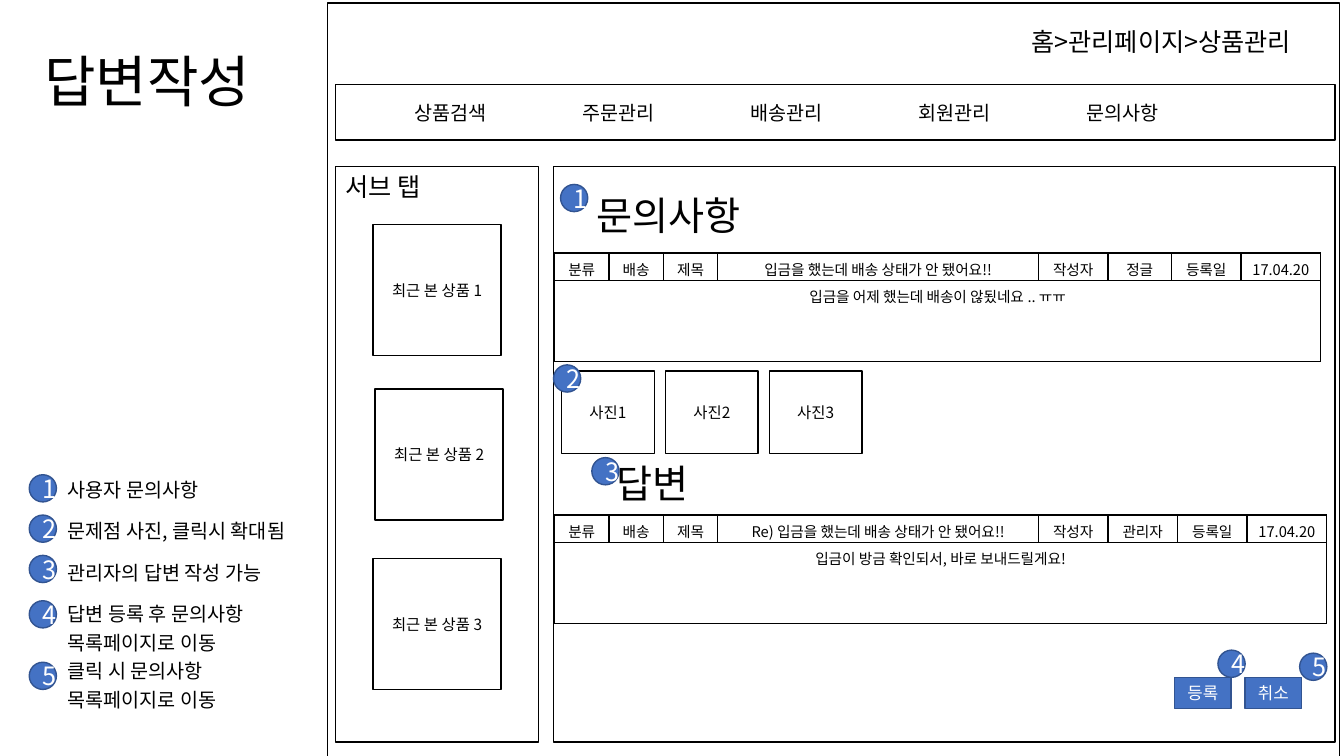
from dataclasses import dataclass

from lxml.etree import SubElement
from pptx import Presentation
from pptx.dml.color import RGBColor
from pptx.enum.shapes import MSO_SHAPE
from pptx.enum.text import MSO_ANCHOR, PP_ALIGN
from pptx.oxml import parse_xml
from pptx.oxml.ns import nsdecls, qn
from pptx.util import Inches, Pt


@dataclass(frozen=True)
class Theme:
    font: str = "Noto Sans CJK KR"
    ink: str = "000000"
    paper: str = "FFFFFF"
    accent: str = "4472C4"
    accent_line: str = "325491"
    title: float = 40
    heading: float = 28
    label: float = 18
    body: float = 14
    button: float = 12
    card: float = 11
    cell: float = 10.5


THEME = Theme()


def style_text(tf, size, color=THEME.ink, align=PP_ALIGN.LEFT):
    for p in tf.paragraphs:
        p.alignment = align
        for r in p.runs:
            r.font.size = Pt(size)
            r.font.color.rgb = RGBColor.from_string(color)
            r.font.name = THEME.font
            SubElement(r.font._element, qn("a:ea"), typeface=THEME.font)


def add_box(s, x, y, w, h, text="", size=THEME.card, accent=False,
            kind=MSO_SHAPE.RECTANGLE, line_width=1):
    sp = s.shapes.add_shape(kind, Inches(x), Inches(y), Inches(w), Inches(h))
    sp.shadow.inherit = False
    sp.fill.solid()
    sp.fill.fore_color.rgb = RGBColor.from_string(THEME.accent if accent else THEME.paper)
    sp.line.color.rgb = RGBColor.from_string(THEME.accent_line if accent else THEME.ink)
    sp.line.width = Pt(line_width)
    if text:
        tf = sp.text_frame
        tf.text = text
        tf.vertical_anchor = MSO_ANCHOR.MIDDLE
        style_text(tf, size, THEME.paper if accent else THEME.ink, PP_ALIGN.CENTER)
    return sp


def add_label(s, x, y, w, h, text, size, indent=0.1):
    tf = s.shapes.add_textbox(Inches(x), Inches(y), Inches(w), Inches(h)).text_frame
    tf.word_wrap = True
    tf.margin_left = Inches(indent)
    tf.text = text
    style_text(tf, size)


def add_badge(s, x, y, number):
    add_box(s, x, y, 0.27, 0.27, str(number), THEME.label, True, MSO_SHAPE.OVAL)


def set_borders(cell, color=None):
    fill = f'<a:solidFill><a:srgbClr val="{color}"/></a:solidFill>' if color else "<a:noFill/>"
    tcPr = cell._tc.get_or_add_tcPr()
    for i, side in enumerate(("lnL", "lnR", "lnT", "lnB")):
        tcPr.insert(i, parse_xml(f'<a:{side} {nsdecls("a")} w="12700">{fill}</a:{side}>'))


def add_plain_table(s, x, y, widths, heights):
    tbl = s.shapes.add_table(len(heights), len(widths), Inches(x), Inches(y),
                             Inches(sum(widths)), Inches(sum(heights))).table
    tbl.first_row = tbl.horz_banding = False
    for column, width in zip(tbl.columns, widths):
        column.width = Inches(width)
    for row, height in zip(tbl.rows, heights):
        row.height = Inches(height)
    return tbl


def add_post(s, x, y, widths, header, message):
    tbl = add_plain_table(s, x, y, widths, (0.21, 0.8))
    tbl.cell(1, 0).merge(tbl.cell(1, len(widths) - 1))
    for cell, text in zip(tbl.iter_cells(), (*header, message)):
        cell.text = text
    for cell in tbl.iter_cells():
        cell.fill.solid()
        cell.fill.fore_color.rgb = RGBColor.from_string(THEME.paper)
        set_borders(cell, THEME.ink)
        style_text(cell.text_frame, THEME.cell, align=PP_ALIGN.CENTER)


def add_legend(s, x, y, w):
    notes = (
        ("사용자 문의사항", 0.05),
        ("문제점 사진, 클릭시 확대됨", 0.45),
        ("관리자의 답변 작성 가능", 0.85),
        ("답변 등록 후 문의사항\n목록페이지로 이동", 1.3),
        ("클릭 시 문의사항\n목록페이지로 이동", 1.91),
    )
    tbl = add_plain_table(s, x + 0.28, y, (w - 0.28,), [0.41] * len(notes))
    for i, (note, badge_top) in enumerate(notes):
        cell = tbl.cell(i, 0)
        cell.text = note
        cell.fill.background()
        set_borders(cell)
        style_text(cell.text_frame, THEME.body)
        add_badge(s, x, y + badge_top, i + 1)


def add_menu(s, x, y, w, h):
    items = ("상품검색", "주문관리", "배송관리", "회원관리", "문의사항")
    tf = add_box(s, x, y, w, h, "\t".join(items), THEME.body).text_frame
    tf.margin_left = Inches(0.78)
    p = tf.paragraphs[0]
    p.alignment = PP_ALIGN.LEFT
    tabs = SubElement(p._p.get_or_add_pPr(), qn("a:tabLst"))
    for i in range(1, len(items)):
        SubElement(tabs, qn("a:tab"), pos=str(Inches(5 / 3 * i)), algn="l")


def add_sub_tab(s, x, y, w, h):
    add_box(s, x, y, w, h)
    add_label(s, x, y, 1.04, 0.41, "서브 탭", THEME.label)
    for i, (dx, dy) in enumerate(((0.37, 0.58), (0.39, 2.21), (0.37, 3.89)), 1):
        add_box(s, x + dx, y + dy, 1.27, 1.3, f"최근 본 상품 {i}")


def add_inquiry(s, x, y):
    add_label(s, x + 0.33, y + 0.2, 1.7, 0.78, "문의사항", THEME.heading)
    add_post(s, x + 0.01, y + 0.86, (0.54, 0.54, 0.54, 3.18, 0.69, 0.63, 0.69, 0.79),
             ("분류", "배송", "제목", "입금을 했는데 배송 상태가 안 됐어요!!",
              "작성자", "정글", "등록일", "17.04.20"),
             "입금을 어제 했는데 배송이 않됬네요 .. ㅠㅠ")
    for i in range(3):
        add_box(s, x + 0.08 + 1.03 * i, y + 2.03, 0.92, 0.82, f"사진{i + 1}")
    add_badge(s, x + 0.07, y + 0.18, 1)
    add_badge(s, x, y + 1.97, 2)


def add_answer(s, x, y):
    add_label(s, x + 0.33, y, 1.7, 0.78, "답변", THEME.heading, 0.29)
    add_post(s, x + 0.01, y + 0.6, (0.54, 0.54, 0.54, 3.18, 0.69, 0.69, 0.69, 0.79),
             ("분류", "배송", "제목", "Re) 입금을 했는데 배송 상태가 안 됐어요!!",
              "작성자", "관리자", "등록일", "17.04.20"),
             "입금이 방금 확인되서, 바로 보내드릴게요!")
    add_badge(s, x + 0.38, y + 0.03, 3)
    for i, caption in enumerate(("등록", "취소")):
        add_box(s, x + 6.16 + 0.7 * i, y + 2.21, 0.56, 0.31, caption, THEME.button, True)
    add_badge(s, x + 6.59, y + 1.94, 4)
    add_badge(s, x + 7.4, y + 1.97, 5)


def add_content(s, x, y, w, h):
    add_box(s, x, y, w, h)
    add_inquiry(s, x, y)
    add_answer(s, x, y + 2.86)


def add_page(s, x, y, w, h):
    add_box(s, x, y, w, h, line_width=0)
    add_label(s, x + 6.88, y + 0.18, 3.05, 0.41, "홈>관리페이지>상품관리", THEME.label)
    add_menu(s, x + 0.08, y + 0.81, 9.91, 0.55)
    add_sub_tab(s, x + 0.08, y + 1.62, 2.01, 5.71)
    add_content(s, x + 2.24, y + 1.62, 7.75, 5.71)


def main():
    prs = Presentation()
    prs.slide_width, prs.slide_height = Inches(13.33), Inches(7.5)
    s = prs.slides.add_slide(prs.slide_layouts[6])
    add_page(s, 3.25, 0.03, 10.04, 7.52)
    add_label(s, 0.34, 0.41, 2.6, 0.78, "답변작성", THEME.title)
    add_legend(s, 0.29, 4.66, 3.03)
    prs.save("out.pptx")


if __name__ == "__main__":
    main()
